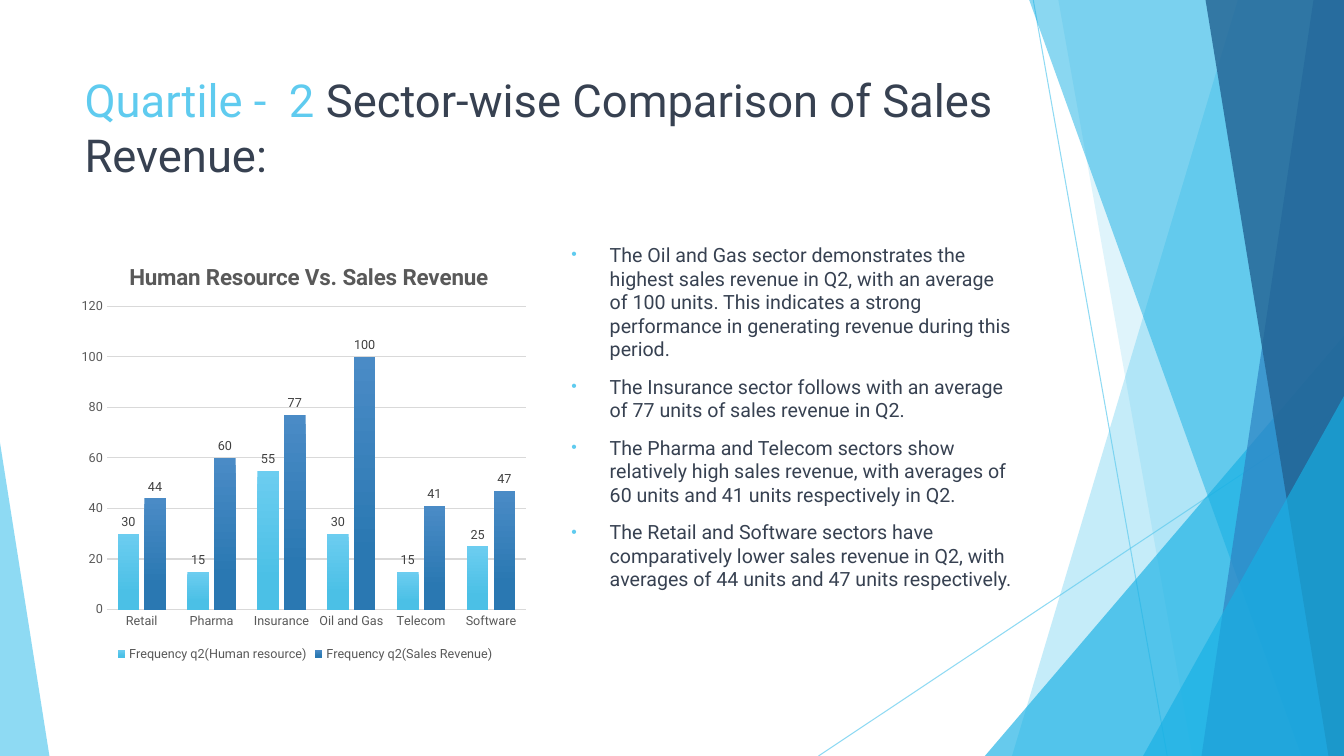
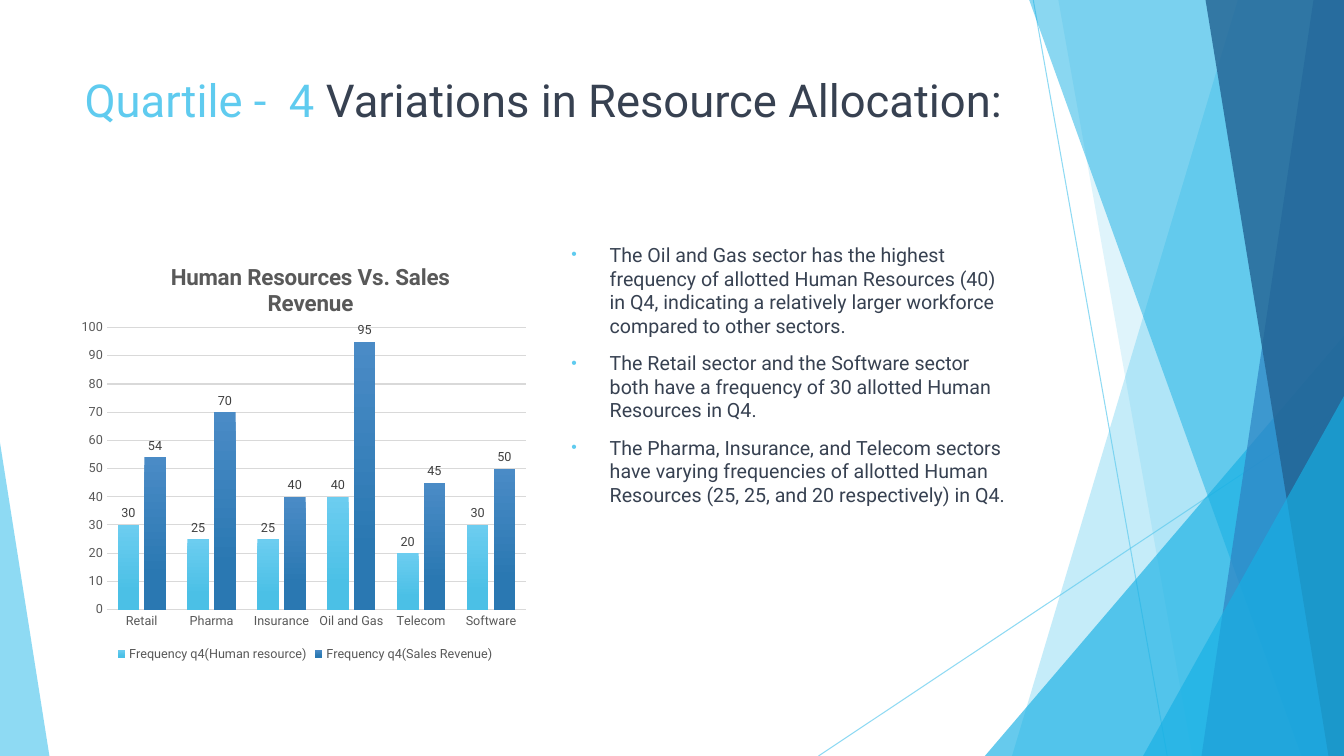
from dataclasses import dataclass

from lxml import etree
from pptx import Presentation
from pptx import util as u
from pptx.chart.data import CategoryChartData
from pptx.dml.color import RGBColor
from pptx.enum import chart as charts, shapes
from pptx.oxml import parse_xml
from pptx.oxml.ns import nsdecls, qn


@dataclass(frozen=True)
class Theme:
    font: str = "Roboto"
    sky: str = "5FCBEF"
    cyan: str = "17B0E4"
    blue: str = "2E83C3"
    navy: str = "226292"
    ink: str = "374151"
    gray: str = "595959"
    label: str = "404040"
    grid: str = "D9D9D9"
    bars: tuple = (("6CCDF0", "4BC0E6"), ("4A8BC6", "2A78B2"))
    title: float = 32.4
    body: float = 14
    chart_title: float = 16
    chart_text: float = 9


THEME = Theme()
WIDTH, HEIGHT = u.Inches(13.333), u.Inches(7.5)

# Areas on a grid of 100 columns by 100 rows: left, top, width, height
TITLE_AREA = (5.55, 8.93, 70.5, 19.2)
CHART_AREA = (5.55, 31.47, 34.27, 56.53)
BODY_AREA = (41.78, 31.47, 34.35, 56.53)

# Background facets from back to front
# line: start column, start row, end column, end row
# band: top column, bottom column, colour, opacity; reaches the right edge
# triangle: left column, top row, width, apex share, colour, opacity
FACETS = (
    ("line", 76.88, 0, 86.85, 100),
    ("line", 100, 53.73, 60.9, 100),
    ("band", 92.1, 75.3, THEME.sky, 36),
    ("band", 78.75, 88.73, THEME.sky, 20),
    ("triangle", 73.28, 44.4, 26.72, 1, THEME.cyan, 66),
    ("band", 76.58, 96.83, THEME.cyan, 50),
    ("band", 97.73, 89.4, THEME.blue, 70),
    ("band", 89.7, 98.85, THEME.navy, 80),
    ("triangle", 85.05, 52.4, 14.95, 1, THEME.cyan, 66),
    ("triangle", 0, 58.53, 3.68, 0, THEME.sky, 70),
)

SECTORS = ("Retail", "Pharma", "Insurance", "Oil and Gas", "Telecom", "Software")

QUARTERS = (
    dict(
        number=2,
        heading="Sector-wise Comparison of Sales Revenue:",
        chart_title="Human Resource Vs. Sales Revenue",
        title_left=0.11, plot_top=0.16, maximum=120, step=20,
        resources=(30, 15, 55, 30, 15, 25),
        revenue=(44, 60, 77, 100, 41, 47),
        points=(
            "The Oil and Gas sector demonstrates the highest sales revenue in Q2, "
            "with an average of 100 units. This indicates a strong performance in "
            "generating revenue during this period.",
            "The Insurance sector follows with an average of 77 units of sales "
            "revenue in Q2.",
            "The Pharma and Telecom sectors show relatively high sales revenue, "
            "with averages of 60 units and 41 units respectively in Q2.",
            "The Retail and Software sectors have comparatively lower sales revenue "
            "in Q2, with averages of 44 units and 47 units respectively.",
        ),
    ),
    dict(
        number=4,
        heading="Variations in Resource Allocation:",
        chart_title="Human Resources Vs. Sales Revenue",
        title_left=0.2, plot_top=0.21, maximum=100, step=10,
        resources=(30, 25, 25, 40, 20, 30),
        revenue=(54, 70, 40, 95, 45, 50),
        points=(
            "The Oil and Gas sector has the highest frequency of allotted Human "
            "Resources (40) in Q4, indicating a relatively larger workforce compared "
            "to other sectors.",
            "The Retail sector and the Software sector both have a frequency of 30 "
            "allotted Human Resources in Q4.",
            "The Pharma, Insurance, and Telecom sectors have varying frequencies of "
            "allotted Human Resources (25, 25, and 20 respectively) in Q4.",
        ),
    ),
)


# Grid, colour and font helpers
def across(columns):
    return round(WIDTH * columns / 100)


def down(rows):
    return round(HEIGHT * rows / 100)


def place(left, top, width, height):
    return across(left), down(top), across(width), down(height)


def rgb(value):
    return RGBColor.from_string(value)


def set_font(font, size, color, bold=False):
    font.name, font.size, font.bold = THEME.font, u.Pt(size), bold
    font.color.rgb = rgb(color)


def set_opacity(element, percent):
    color = next(element.iter(qn("a:srgbClr")))
    etree.SubElement(color, qn("a:alpha")).set("val", str(percent * 1000))


# Background facets
def paint(shape, color, opacity):
    shape.shadow.inherit = False
    shape.fill.solid()
    shape.fill.fore_color.rgb = rgb(color)
    set_opacity(shape.fill._xPr, opacity)
    shape.line.fill.background()


def add_line(slide, start_column, start_row, end_column, end_row):
    line = slide.shapes.add_connector(
        shapes.MSO_CONNECTOR.STRAIGHT, across(start_column), down(start_row),
        across(end_column), down(end_row))
    line.line.width = u.Pt(0.75)
    line.line.color.rgb = rgb(THEME.sky)
    properties = line._element.spPr
    set_opacity(properties, 70)
    etree.SubElement(properties, qn("a:effectLst"))


def add_band(slide, top_column, bottom_column, color, opacity):
    builder = slide.shapes.build_freeform(across(top_column), 0)
    builder.add_line_segments(
        [(WIDTH, 0), (WIDTH, HEIGHT), (across(bottom_column), HEIGHT)])
    paint(builder.convert_to_shape(), color, opacity)


def add_triangle(slide, left, top, width, apex, color, opacity):
    triangle = slide.shapes.add_shape(
        shapes.MSO_SHAPE.ISOSCELES_TRIANGLE, *place(left, top, width, 100 - top))
    triangle.adjustments[0] = apex
    paint(triangle, color, opacity)


def add_background(slide):
    makers = {"line": add_line, "band": add_band, "triangle": add_triangle}
    for kind, *values in FACETS:
        makers[kind](slide, *values)


# Title and bullets
def add_text_frame(slide, area):
    frame = slide.shapes.add_textbox(*place(*area)).text_frame
    frame.word_wrap = True
    return frame


def add_title(slide, number, heading):
    paragraph = add_text_frame(slide, TITLE_AREA).paragraphs[0]
    for words, color in ((f"Quartile -  {number} ", THEME.sky), (heading, THEME.ink)):
        run = paragraph.add_run()
        run.text = words
        set_font(run.font, THEME.title, color)


def set_bullet(paragraph):
    properties = paragraph._p.get_or_add_pPr()
    indent = u.Inches(0.38)
    properties.set("marL", str(indent))
    properties.set("indent", str(-indent))
    color = etree.SubElement(properties, qn("a:buClr"))
    etree.SubElement(color, qn("a:srgbClr")).set("val", THEME.sky)
    for tag, name, value in (("a:buSzPct", "val", "80000"),
                             ("a:buFont", "typeface", "Arial"),
                             ("a:buChar", "char", "•")):
        etree.SubElement(properties, qn(tag)).set(name, value)


def add_bullets(slide, points):
    frame = add_text_frame(slide, BODY_AREA)
    for index, point in enumerate(points):
        paragraph = frame.add_paragraph() if index else frame.paragraphs[0]
        paragraph.text = point
        paragraph.space_before = u.Pt(10)
        set_bullet(paragraph)
        set_font(paragraph.font, THEME.body, THEME.ink)


# Chart
def set_layout(parent, position, **shares):
    for old in parent.findall(qn("c:layout")):
        parent.remove(old)
    target = '<c:layoutTarget val="inner"/>' if "w" in shares else ""
    modes = "".join(f'<c:{key}Mode val="edge"/>' for key in ("x", "y"))
    sizes = "".join(f'<c:{key} val="{value:.2f}"/>' for key, value in shares.items())
    parent.insert(position, parse_xml(
        f'<c:layout {nsdecls("c")}><c:manualLayout>{target}{modes}{sizes}'
        '</c:manualLayout></c:layout>'))


def style_axes(chart, maximum, step):
    for axis in (chart.category_axis, chart.value_axis):
        axis.major_tick_mark = axis.minor_tick_mark = charts.XL_TICK_MARK.NONE
        set_font(axis.tick_labels.font, THEME.chart_text, THEME.gray)
    chart.category_axis.format.line.color.rgb = rgb(THEME.grid)
    chart.category_axis.format.line.width = u.Pt(1)
    value_axis = chart.value_axis
    value_axis.minimum_scale, value_axis.maximum_scale = 0, maximum
    value_axis.major_unit = step
    value_axis.format.line.fill.background()
    grid_line = value_axis.major_gridlines.format.line
    grid_line.color.rgb, grid_line.width = rgb(THEME.grid), u.Pt(0.75)


def style_bars(plot):
    plot.gap_width, plot.overlap = 100, -24
    plot.vary_by_categories = False
    for series, colors in zip(plot.series, THEME.bars):
        fill = series.format.fill
        fill.gradient()
        fill.gradient_angle = 270
        for stop, color, position in zip(fill.gradient_stops, colors, (0, 0.78)):
            stop.color.rgb, stop.position = rgb(color), position
        labels = series.data_labels
        labels.show_value = True
        labels.position = charts.XL_LABEL_POSITION.OUTSIDE_END
        set_font(labels.font, THEME.chart_text, THEME.label)


def add_revenue_chart(slide, quarter):
    data = CategoryChartData()
    data.categories = SECTORS
    prefix = f"Frequency q{quarter['number']}"
    data.add_series(f"{prefix}(Human resource)", quarter["resources"])
    data.add_series(f"{prefix}(Sales Revenue)", quarter["revenue"])
    chart = slide.shapes.add_chart(
        charts.XL_CHART_TYPE.COLUMN_CLUSTERED, *place(*CHART_AREA), data).chart
    set_font(chart.font, THEME.chart_text, THEME.gray)

    chart.has_title = True
    paragraph = chart.chart_title.text_frame.paragraphs[0]
    paragraph.text = quarter["chart_title"]
    set_font(paragraph.font, THEME.chart_title, THEME.gray, bold=True)
    set_layout(chart.chart_title._element, 1, x=quarter["title_left"], y=0.05)

    top = quarter["plot_top"]
    set_layout(chart._chartSpace.chart.plotArea, 0, x=0.07, y=top, w=0.91, h=0.87 - top)
    chart.has_legend = True
    chart.legend.position = charts.XL_LEGEND_POSITION.BOTTOM
    chart.legend.include_in_layout = False
    set_font(chart.legend.font, THEME.chart_text, THEME.gray)
    style_axes(chart, quarter["maximum"], quarter["step"])
    style_bars(chart.plots[0])


def main():
    presentation = Presentation()
    presentation.slide_width, presentation.slide_height = WIDTH, HEIGHT
    for quarter in QUARTERS:
        slide = presentation.slides.add_slide(presentation.slide_layouts[6])
        add_background(slide)
        add_title(slide, quarter["number"], quarter["heading"])
        add_revenue_chart(slide, quarter)
        add_bullets(slide, quarter["points"])
    presentation.save("out.pptx")


main()
